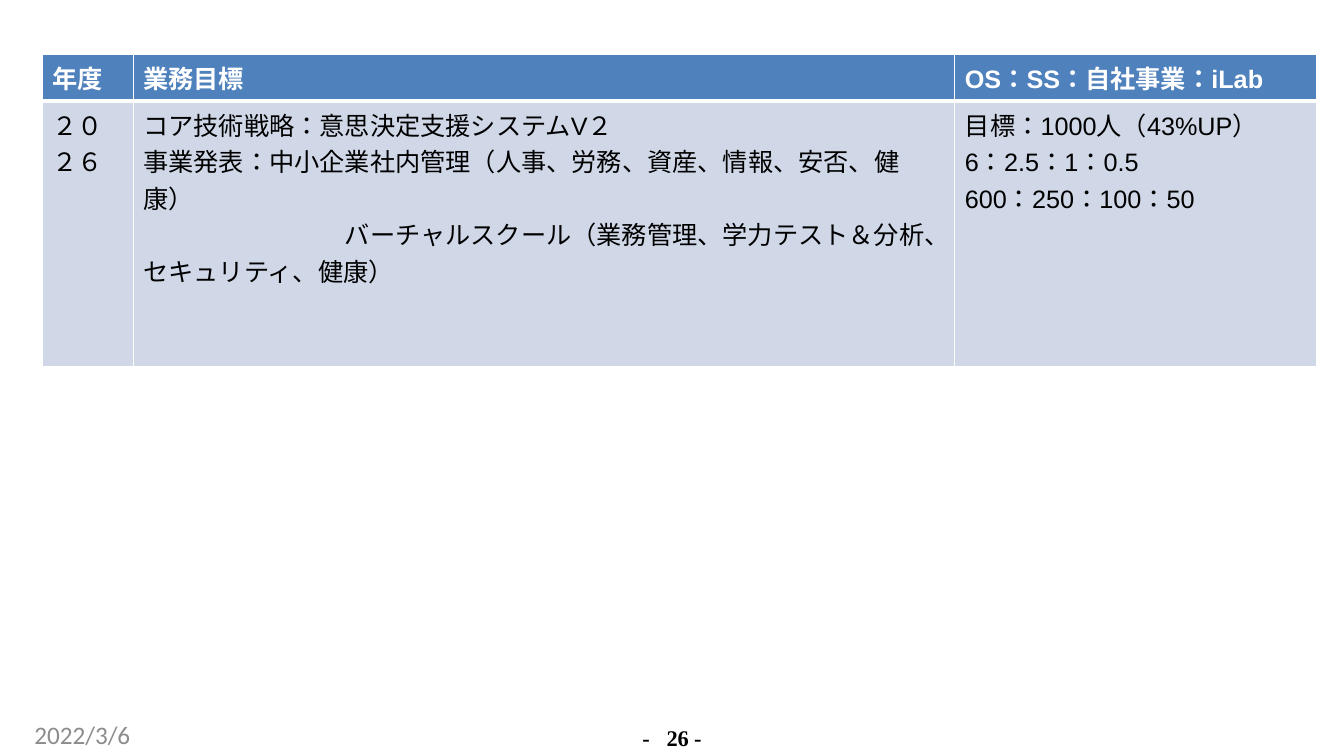
from pptx import Presentation
from pptx.dml.color import RGBColor
from pptx.enum.text import PP_ALIGN
from pptx.oxml import parse_xml
from pptx.oxml.ns import nsdecls, qn
from pptx.util import Inches, Pt
from lxml.etree import SubElement

COLORS = {
    "header": "4F81BD",
    "body": "D0D8E8",
    "white": "FFFFFF",
    "black": "000000",
    "gray": "8C8C8C",
}
HEADERS = ["年度", "業務目標", "OS：SS：自社事業：iLab"]
GOALS = [
    ["２０２６"],
    [
        "コア技術戦略：意思決定支援システムV２",
        "事業発表：中小企業社内管理（人事、労務、資産、情報、安否、健康）",
        "バーチャルスクール（業務管理、学力テスト＆分析、セキュリティ、健康）",
    ],
    ["目標：1000人（43%UP）", "6：2.5：1：0.5", "600：250：100：50"],
]


def rgb(name):
    return RGBColor.from_string(COLORS[name])


def add_text(p, text, size=18, font="Arial", color="black", bold=False, spacing=None):
    r = p.add_run()
    r.text = text
    r.font.size = Pt(size)
    r.font.name = font
    r.font.bold = bold
    r.font.color.rgb = rgb(color)
    rPr = r._r.get_or_add_rPr()
    rPr.set("lang", "ja-JP")
    SubElement(rPr, qn("a:ea")).set("typeface", "Noto Sans CJK JP")
    if spacing is not None:
        rPr.set("spc", str(spacing))


def add_box(s, left, top, width, height):
    tf = s.shapes.add_textbox(Inches(left), Inches(top), Inches(width), Inches(height)).text_frame
    tf.word_wrap = True
    tf.margin_left = tf.margin_top = tf.margin_right = tf.margin_bottom = 0
    return tf.paragraphs[0]


def set_borders(cell, top, bottom):
    tcPr = cell._tc.get_or_add_tcPr()
    widths = {"L": 1, "R": 1, "T": top, "B": bottom}
    for i, (side, width) in enumerate(widths.items()):
        tcPr.insert(i, parse_xml(
            f'<a:ln{side} {nsdecls("a")} w="{Pt(width)}"><a:solidFill>'
            f'<a:srgbClr val="{COLORS["white"]}"/></a:solidFill></a:ln{side}>'))


def fill_cell(cell, lines, fill, top, bottom, **fmt):
    cell.fill.solid()
    cell.fill.fore_color.rgb = rgb(fill)
    set_borders(cell, top, bottom)
    tf = cell.text_frame
    for i, line in enumerate(lines):
        p = tf.add_paragraph() if i else tf.paragraphs[0]
        add_text(p, line, **fmt)


def add_goal_table(s):
    widths, heights = [0.9, 8.15, 3.59], [0.46, 2.63]
    table = s.shapes.add_table(
        2, 3, Inches(0.42), Inches(0.54), Inches(sum(widths)), Inches(sum(heights))).table
    for row, height in zip(table.rows, heights):
        row.height = Inches(height)
    for i, (width, header, goals) in enumerate(zip(widths, HEADERS, GOALS)):
        table.columns[i].width = Inches(width)
        fill_cell(table.cell(0, i), [header], "header", 1, 3, color="white", bold=True)
        fill_cell(table.cell(1, i), goals, "body", 3, 1)
    school = table.cell(1, 1).text_frame.paragraphs[2]
    school._p.get_or_add_pPr().set("indent", str(Inches(2)))


def add_page_number(s):
    p = add_box(s, 6.23, 7.19, 0.86, 0.25)
    p.alignment = PP_ALIGN.CENTER
    p.line_spacing = Pt(18.4)
    pPr = p._p.get_or_add_pPr()
    pPr.set("marL", str(Inches(0.01)))
    tabs = SubElement(pPr, qn("a:tabLst"))
    tab = SubElement(tabs, qn("a:tab"))
    tab.set("pos", str(Inches(0.24)))
    tab.set("algn", "l")
    add_text(p, "-\t26 -", size=16, font="Times New Roman", bold=True, spacing=-10)


def main():
    prs = Presentation()
    prs.slide_width, prs.slide_height = Inches(13.33), Inches(7.5)
    s = prs.slides.add_slide(prs.slide_layouts[6])
    add_goal_table(s)
    add_page_number(s)
    add_text(add_box(s, 0.34, 7.14, 3.07, 0.3), "2022/3/6", font="Calibri", color="gray")
    prs.save("out.pptx")


if __name__ == "__main__":
    main()
